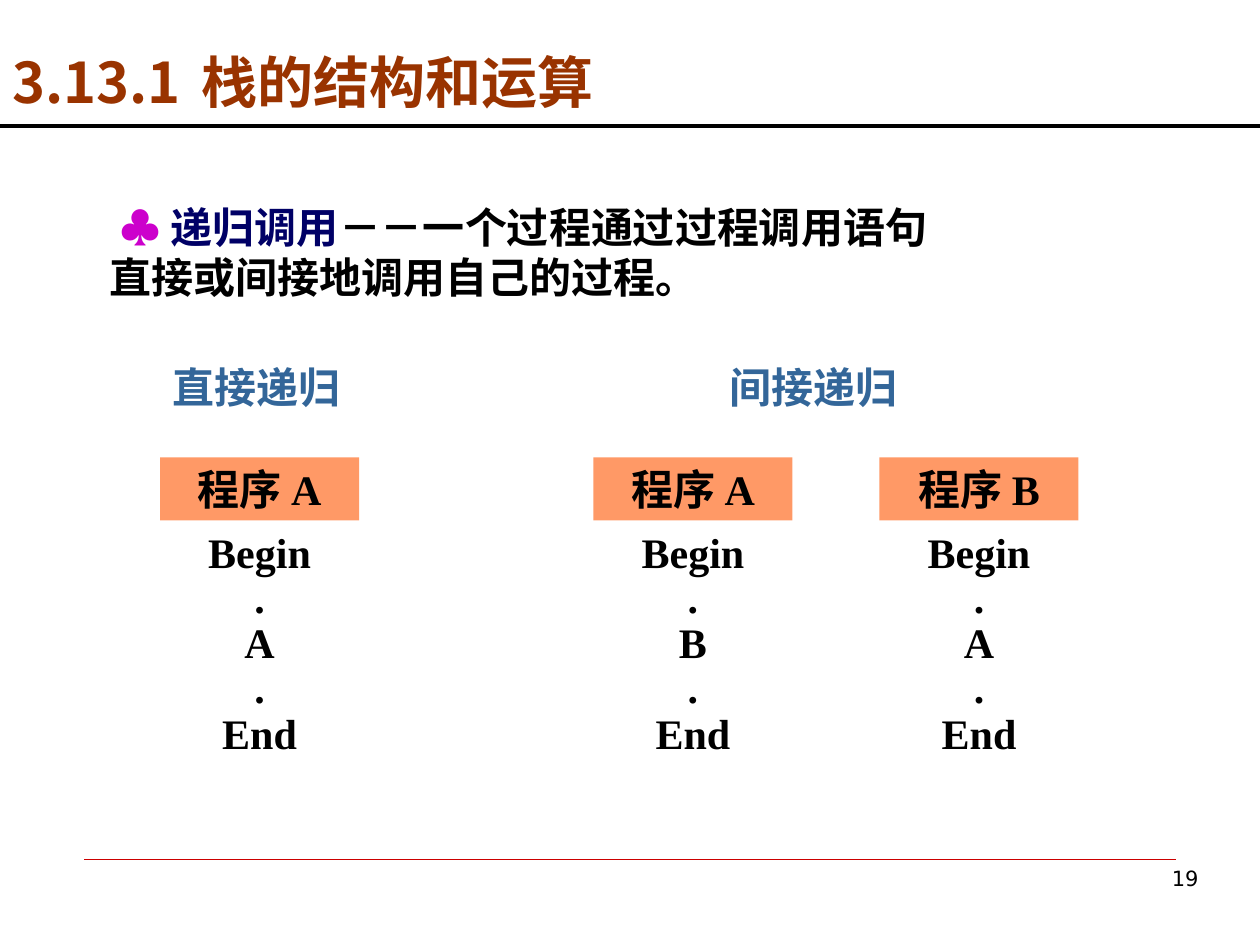
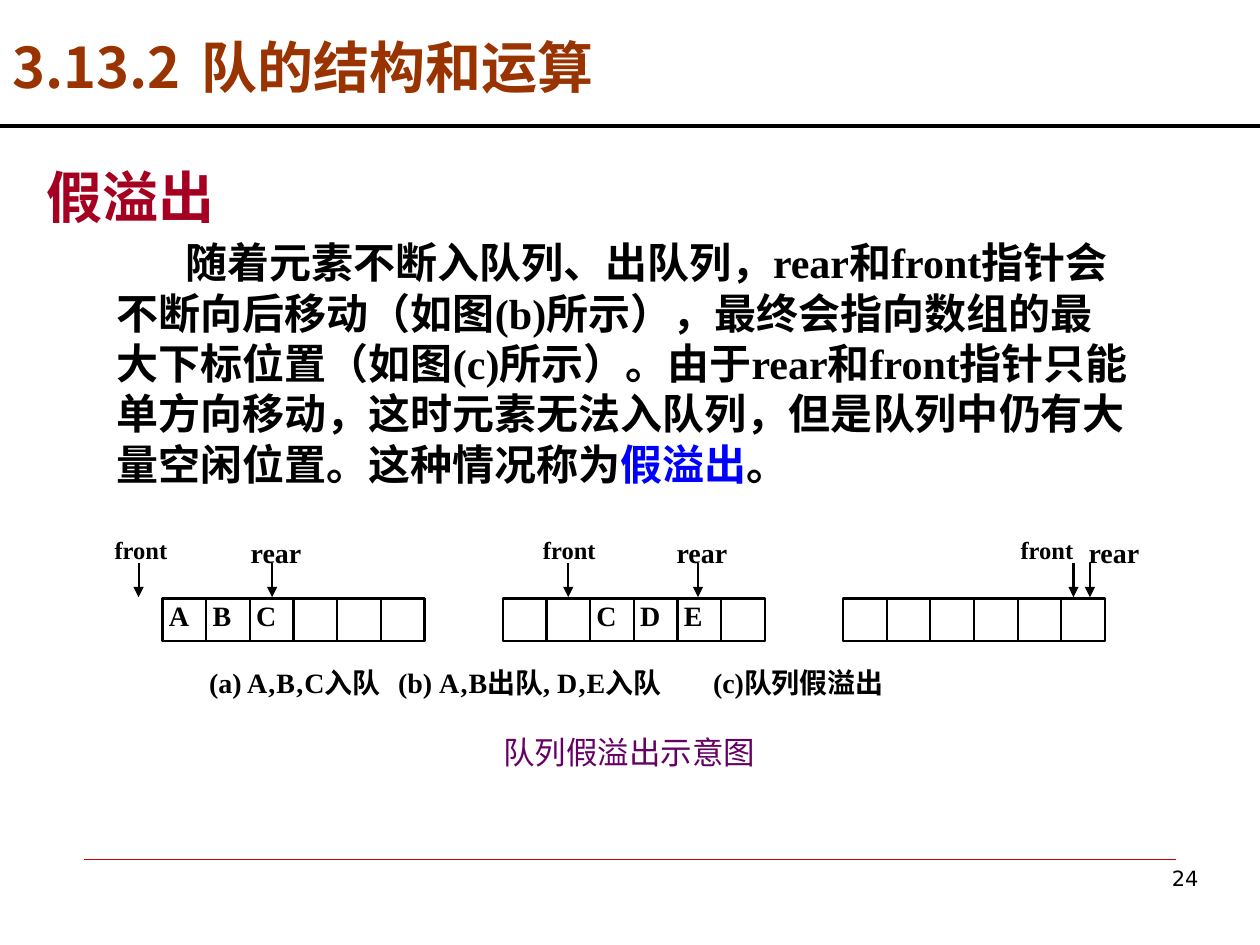
from lxml import etree
from pptx import Presentation
from pptx.dml.color import RGBColor
from pptx.enum.shapes import MSO_CONNECTOR, MSO_SHAPE
from pptx.enum.text import MSO_ANCHOR, PP_ALIGN
from pptx.oxml.ns import qn
from pptx.util import Inches, Pt

LEFT, CENTER, RIGHT = PP_ALIGN.LEFT, PP_ALIGN.CENTER, PP_ALIGN.RIGHT
TOP, BOTTOM = MSO_ANCHOR.TOP, MSO_ANCHOR.BOTTOM
RECTANGLE = MSO_SHAPE.RECTANGLE
STRAIGHT = MSO_CONNECTOR.STRAIGHT

COLORS = {
    "black": "000000",
    "white": "FFFFFF",
    "title": "993300",
    "heading": "A50021",
    "footer": "CC0000",
    "term": "000066",
    "club": "CC00CC",
    "kind": "336699",
    "program": "FF9966",
    "highlight": "0000FF",
    "caption": "660066",
}
SERIF, SANS, CHINESE = "Times New Roman", "DejaVu Sans", "Noto Sans CJK SC"

PROGRAM_WIDTH = 1.58
CELL_COUNT = 6
CELL_WIDTH = 2.08 / CELL_COUNT
CELL_HEIGHT = 0.34
CELL_TOP = 4.75


def color(name):
    return RGBColor.from_string(COLORS[name])


def add_span(para, text, size, font, ink, bold):
    span = para.add_run()
    span.text = text
    span.font.size = Pt(size)
    span.font.name = font
    span.font.bold = bold
    span.font.color.rgb = color(ink)
    east_asian = etree.SubElement(span._r.get_or_add_rPr(), qn("a:ea"))
    east_asian.set("typeface", CHINESE)


def set_indents(para, margin, indent, tabs):
    properties = para._p.get_or_add_pPr()
    properties.set("marL", str(Inches(margin)))
    properties.set("indent", str(Inches(indent)))
    if tabs:
        tab_list = etree.SubElement(properties, qn("a:tabLst"))
        for position in tabs:
            etree.SubElement(tab_list, qn("a:tab"), pos=str(Inches(position)), algn="l")


def write_text(box, paragraphs, size=24, font=SERIF, ink="black", bold=True,
               align=LEFT, anchor=TOP, insets=(0.1, 0.05), line_spacing=None,
               margin=0, indent=0, tabs=()):
    """Each paragraph is a string or a list of (text, format changes) spans.

    The line spacing applies from the second paragraph on.
    """
    frame = box.text_frame
    frame.word_wrap = True
    frame.vertical_anchor = anchor
    frame.margin_left = frame.margin_right = Inches(insets[0])
    frame.margin_top = frame.margin_bottom = Inches(insets[1])
    base = {"size": size, "font": font, "ink": ink, "bold": bold}
    for index, content in enumerate(paragraphs):
        para = frame.add_paragraph() if index else frame.paragraphs[0]
        para.alignment = align
        if index and line_spacing:
            para.line_spacing = line_spacing
        set_indents(para, margin, indent, tabs)
        spans = [(content, {})] if isinstance(content, str) else content
        for text, changes in spans:
            add_span(para, text, **{**base, **changes})


def add_text(page, paragraphs, left, top, width, height, **text_format):
    box = page.shapes.add_textbox(Inches(left), Inches(top), Inches(width), Inches(height))
    write_text(box, paragraphs, **text_format)


def add_box(page, text, left, top, width, height, fill, line=None, **text_format):
    box = page.shapes.add_shape(
        RECTANGLE, Inches(left), Inches(top), Inches(width), Inches(height))
    box.shadow.inherit = False
    box.fill.solid()
    box.fill.fore_color.rgb = color(fill)
    if line:
        box.line.color.rgb = color(line)
        box.line.width = Pt(1.25)
    else:
        box.line.fill.background()
    if text:
        write_text(box, [text], **text_format)


def add_line(page, start, end, width, ink="black", arrow=False):
    line = page.shapes.add_connector(STRAIGHT, *map(Inches, start + end))
    line.line.color.rgb = color(ink)
    line.line.width = Pt(width)
    if arrow:
        etree.SubElement(line.line._get_or_add_ln(), qn("a:tailEnd"), type="triangle")
    etree.SubElement(line._element.spPr, qn("a:effectLst"))


def add_page(deck, section, title, title_top, number):
    page = deck.slides.add_slide(deck.slide_layouts[6])
    add_line(page, (0.67, 6.82), (9.33, 6.82), 0.25, ink="footer")
    add_text(page, [str(number)], 7.44, 6.82, 2.17, 0.52,
             size=12, font=SANS, bold=False, align=RIGHT)
    add_text(page, [f"{section}\t{title}"], 0, title_top, 7.67, 0.64,
             size=32, font=CHINESE, ink="title", tabs=[1.66])
    add_line(page, (0, 1), (10, 1), 2.25)
    return page


def add_program(page, name, called, left):
    """Draw a program's name above a body that calls another program."""
    add_box(page, f"程序 {name}", left, 3.63, PROGRAM_WIDTH, 0.5, "program", align=CENTER)
    add_text(page, ["Begin", ".", called, ".", "End"], left, 4.13, PROGRAM_WIDTH, 1.94,
             align=CENTER, line_spacing=0.9)


def add_queue(page, left, elements):
    for index, element in enumerate(elements.ljust(CELL_COUNT)):
        add_box(page, element.strip(), left + index * CELL_WIDTH, CELL_TOP,
                CELL_WIDTH, CELL_HEIGHT, "white", line="black", size=16, insets=(0.05, 0))


def add_pointer(page, name, size, label_left, arrow_x):
    add_box(page, name, label_left, 4.25, 0.46, 0.23, "white", size=size, insets=(0, 0))
    add_line(page, (arrow_x, 4.47), (arrow_x, 4.74), 1.25, arrow=True)


def build_recursion_page(deck):
    page = add_page(deck, "3.13.1", "栈的结构和运算", 0.33, 19)
    definition = [
        ("♣ ", {"font": "Arial", "ink": "club"}),
        ("递归调用", {"ink": "term"}),
        ("－－一个过程通过过程调用语句直接或间接地调用自己的过程。", {}),
    ]
    add_text(page, [definition], 0.27, 1.55, 7.5, 0.9,
             font=CHINESE, margin=0.5, indent=0.08)
    for kind, left in (("直接递归", 1.27), ("间接递归", 5.69)):
        add_text(page, [kind], left, 2.82, 1.83, 0.5, ink="kind")
    for name, called, left in (("A", "A", 1.27), ("A", "B", 4.71), ("B", "A", 6.98)):
        add_program(page, name, called, left)


def build_overflow_page(deck):
    page = add_page(deck, "3.13.2", "队的结构和运算", 0.21, 24)
    add_text(page, ["假溢出"], 0.27, 1.15, 8.75, 0.72,
             size=32, font=SANS, ink="heading", anchor=BOTTOM)
    explanation = [
        ("随着元素不断入队列、出队列，rear和front指针会不断向后移动（如图(b)所示），"
         "最终会指向数组的最大下标位置（如图(c)所示）。由于rear和front指针只能单方向移动，"
         "这时元素无法入队列，但是队列中仍有大量空闲位置。这种情况称为", {}),
        ("假溢出", {"ink": "highlight"}),
        ("。", {}),
    ]
    add_text(page, [explanation], 0.83, 1.83, 8.25, 2.1, indent=0.54)

    # queue left, elements, then label left and arrow x of front and of rear
    queues = [
        (1.29, "ABC", (0.91, 1.1), (1.99, 2.16)),
        (3.99, "  CDE", (4.31, 4.51), (5.37, 5.54)),
        (6.69, "", (8.1, 8.52), (8.64, 8.65)),
    ]
    for left, elements, front, rear in queues:
        add_queue(page, left, elements)
        add_pointer(page, "front", 14, *front)
        add_pointer(page, "rear", 16, *rear)

    add_text(page, ["\t(a) A‚B‚C入队\t(b) A‚B出队, D‚E入队\t(c)队列假溢出"],
             1.16, 5.28, 7.67, 0.3, size=16, insets=(0, 0), tabs=[0.44, 2.38, 5.14])
    add_text(page, ["队列假溢出示意图"], 1.16, 5.82, 7.67, 0.33,
             size=18, ink="caption", bold=False, align=CENTER, insets=(0, 0))


def main():
    deck = Presentation()
    deck.slide_width, deck.slide_height = Inches(10), Inches(7.5)
    build_recursion_page(deck)
    build_overflow_page(deck)
    deck.save("out.pptx")


if __name__ == "__main__":
    main()
